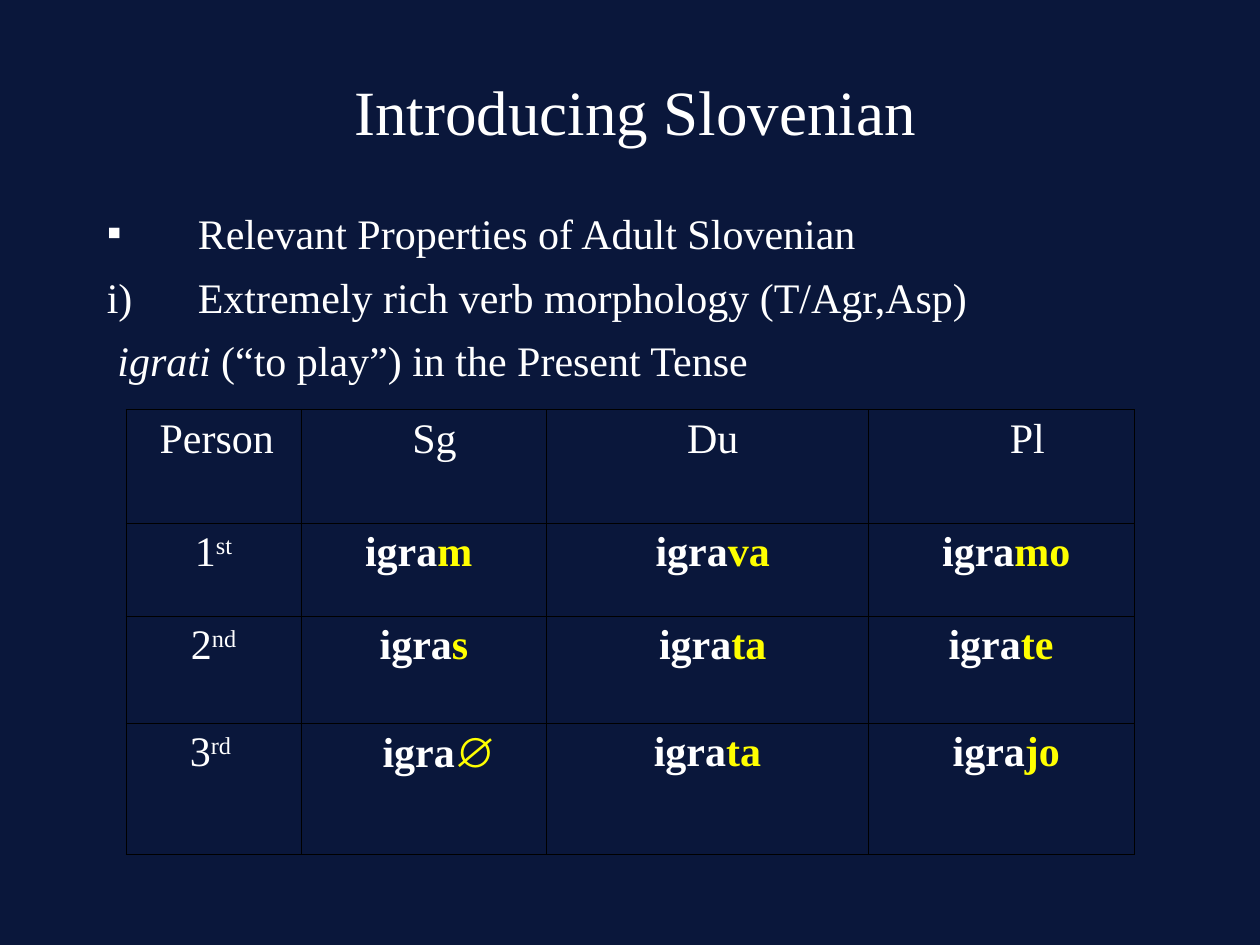
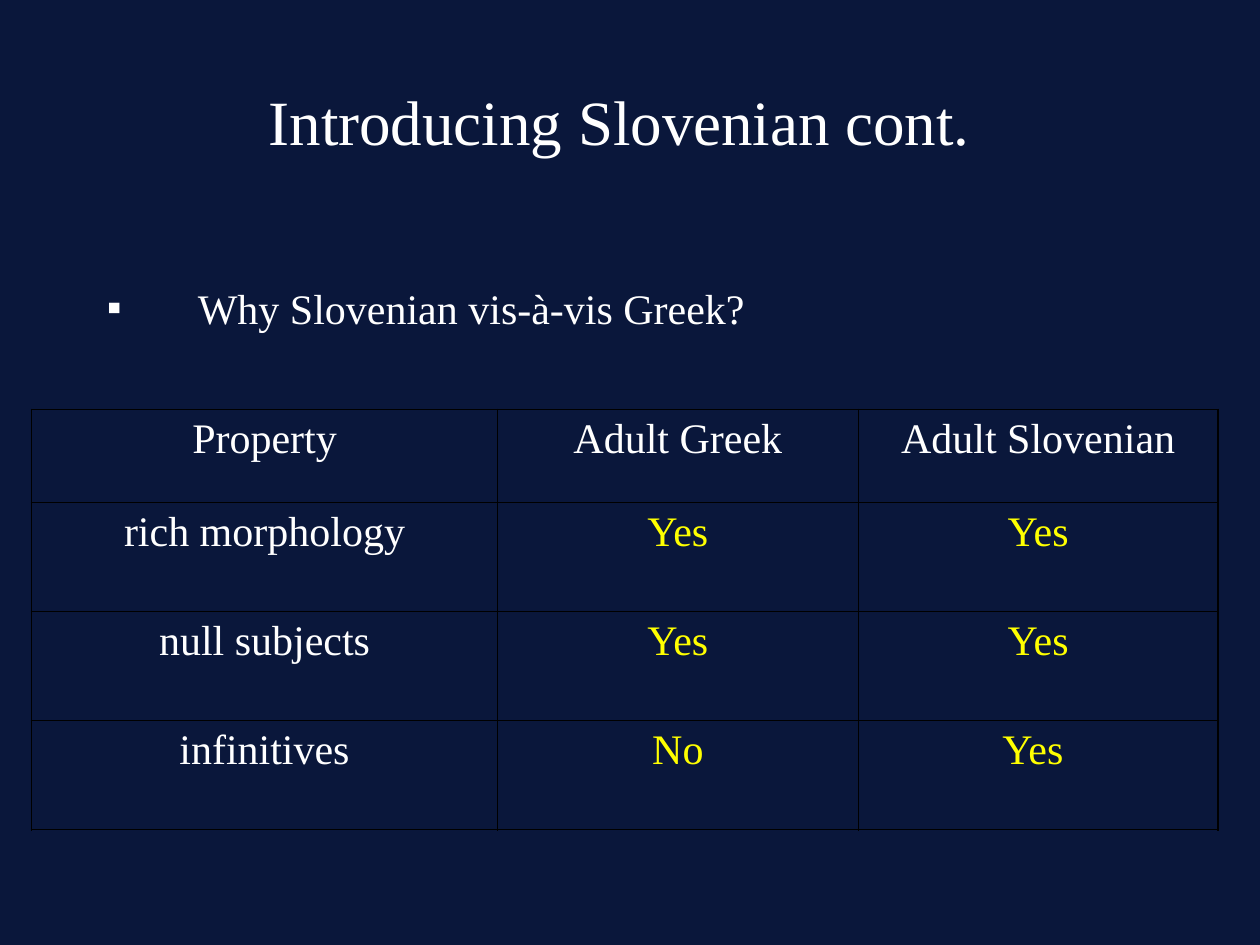
"""Build two slides that introduce Slovenian verb morphology and compare it with Greek."""
from lxml import etree
from pptx import Presentation
from pptx.dml.color import RGBColor
from pptx.enum.text import MSO_ANCHOR, PP_ALIGN
from pptx.oxml.ns import qn
from pptx.util import Pt

NAVY = RGBColor(0x0A, 0x17, 0x3B)
WHITE = RGBColor(0xFF, 0xFF, 0xFF)
YELLOW = RGBColor(0xFF, 0xFF, 0x00)
BLACK = RGBColor(0x00, 0x00, 0x00)
SERIF = "Times New Roman"
SANS = "Arial"
LEFT, CENTER = PP_ALIGN.LEFT, PP_ALIGN.CENTER
MIDDLE = MSO_ANCHOR.MIDDLE
INSET = 7.2
HANGING = 52
THIN, THICK = 0.45, 1.08


def add_run(paragraph, text, color=WHITE, size=24, bold=False, italic=False, face=SERIF, raised=False):
    run = paragraph.add_run()
    run.text = text
    run.font.name = face
    run.font.size = Pt(size)
    run.font.bold = bold
    run.font.italic = italic
    run.font.color.rgb = color
    if raised:
        run.font._element.set("baseline", "30000")


def add_child(parent, tag, **attributes):
    return etree.SubElement(parent, qn(tag), attributes)


ending = {"color": YELLOW, "bold": True}
persons = [("1", "st", 0), ("2", "nd", 0), ("3", "rd", -3.5)]
endings = [
    [("m", -6), ("va", 6), ("mo", 6)],
    [("s", 0), ("ta", 6), ("te", 0)],
    [("∅", 18), ("ta", 0), ("jo", 6)],
]
conjugation = [[([(name, {})], shift) for name, shift in
                [("Person", 12), ("Sg", 12), ("Du", 6), ("Pl", 30)]]]
for (number, suffix, shift), forms in zip(persons, endings):
    row = [([(number, {}), (suffix, {"raised": True})], shift)]
    for form, form_shift in forms:
        face = SANS if form == "∅" else SERIF
        row.append(([("igra", {"bold": True}), (form, {**ending, "face": face})], form_shift))
    conjugation.append(row)

comparison = [[([(name, {})], 0) for name in ("Property", "Adult Greek", "Adult Slovenian")]]
for trait, greek, slovenian, shift in [
    ("rich morphology", "Yes", "Yes", 0),
    ("null subjects", "Yes", "Yes", 0),
    ("infinitives", "No", "Yes", -6),
]:
    comparison.append([([(trait, {})], 0), ([(greek, {"color": YELLOW})], 0),
                       ([(slovenian, {"color": YELLOW})], shift)])

pages = [
    {
        "title": "Introducing Slovenian", "title_height": 54, "title_shift": 18,
        "points_top": 113.76, "points_height": 408.24,
        "points": [
            ("square", [("Relevant Properties of Adult Slovenian", {})]),
            ("roman", [("Extremely rich verb morphology (T/Agr,Asp)", {})]),
            (None, [("igrati", {"italic": True}), (" (“to play”) in the Present Tense", {})]),
        ],
        "grid": conjugation, "grid_left": 72, "outline": THIN, "corner_align": LEFT,
        "widths": [100.08, 140.4, 183.6, 151.92], "heights": [64.8, 53.28, 61.2, 74.88],
    },
    {
        "title": "Introducing Slovenian cont.", "title_height": 66, "title_shift": 0,
        "points_top": 156.24, "points_height": 324,
        "points": [("square", [("Why Slovenian vis-à-vis Greek?", {})])],
        "grid": comparison, "grid_left": 18, "outline": THICK, "corner_align": CENTER,
        "widths": [266.4, 205.92, 205.92], "heights": [53.28, 62.3, 62.3, 62.3],
    },
]

deck = Presentation()
deck.slide_width, deck.slide_height = Pt(720), Pt(540)

for page in pages:
    slide = deck.slides.add_slide(deck.slide_layouts[6])
    slide.background.fill.solid()
    slide.background.fill.fore_color.rgb = NAVY

    heading = slide.shapes.add_textbox(Pt(48), Pt(36), Pt(612), Pt(page["title_height"])).text_frame
    heading.word_wrap = True
    heading.vertical_anchor = MIDDLE
    heading.margin_left = Pt(INSET + page["title_shift"])
    heading.paragraphs[0].alignment = CENTER
    add_run(heading.paragraphs[0], page["title"], size=36)

    body = slide.shapes.add_textbox(
        Pt(54), Pt(page["points_top"]), Pt(612), Pt(page["points_height"])).text_frame
    body.word_wrap = True
    for index, (marker, runs) in enumerate(page["points"]):
        point = body.paragraphs[0] if index == 0 else body.add_paragraph()
        properties = point._p.get_or_add_pPr()
        properties.set("marL", str(Pt(HANGING if marker else 6)))
        properties.set("indent", str(Pt(-HANGING if marker else 0)))
        if marker:
            add_child(add_child(properties, "a:buClr"), "a:srgbClr", val=str(WHITE))
            add_child(properties, "a:buFont", typeface=SERIF)
        if marker == "square":
            add_child(properties, "a:buChar", char="▪")
        elif marker == "roman":
            add_child(properties, "a:buAutoNum", type="romanLcParenR")
        else:
            add_child(properties, "a:buNone")
        point.line_spacing = 1.05
        if index:
            point.space_before = Pt(6)
        for text, style in runs:
            add_run(point, text, **style)

    widths, heights = page["widths"], page["heights"]
    grid = slide.shapes.add_table(
        len(heights), len(widths), Pt(page["grid_left"]), Pt(234),
        Pt(sum(widths)), Pt(sum(heights))).table
    grid.first_row = grid.horz_banding = False
    for column, width in zip(grid.columns, widths):
        column.width = Pt(width)
    for row, height in zip(grid.rows, heights):
        row.height = Pt(height)

    last_row, last_column = len(heights) - 1, len(widths) - 1
    for r, row in enumerate(page["grid"]):
        for c, (runs, shift) in enumerate(row):
            cell = grid.cell(r, c)
            cell.margin_left = Pt(INSET + max(shift, 0))
            cell.margin_right = Pt(INSET + max(-shift, 0))
            cell_properties = cell._tc.get_or_add_tcPr()
            for side, outer in [("L", c == 0), ("R", c == last_column),
                                ("T", r == 0), ("B", r == last_row)]:
                weight = Pt(page["outline"] if outer else THIN)
                border = add_child(cell_properties, f"a:ln{side}", w=str(weight))
                add_child(add_child(border, "a:solidFill"), "a:srgbClr", val=str(BLACK))
            cell.fill.background()
            entry = cell.text_frame.paragraphs[0]
            entry.alignment = page["corner_align"] if r == c == 0 else CENTER
            for text, style in runs:
                add_run(entry, text, **style)

deck.save("out.pptx")
